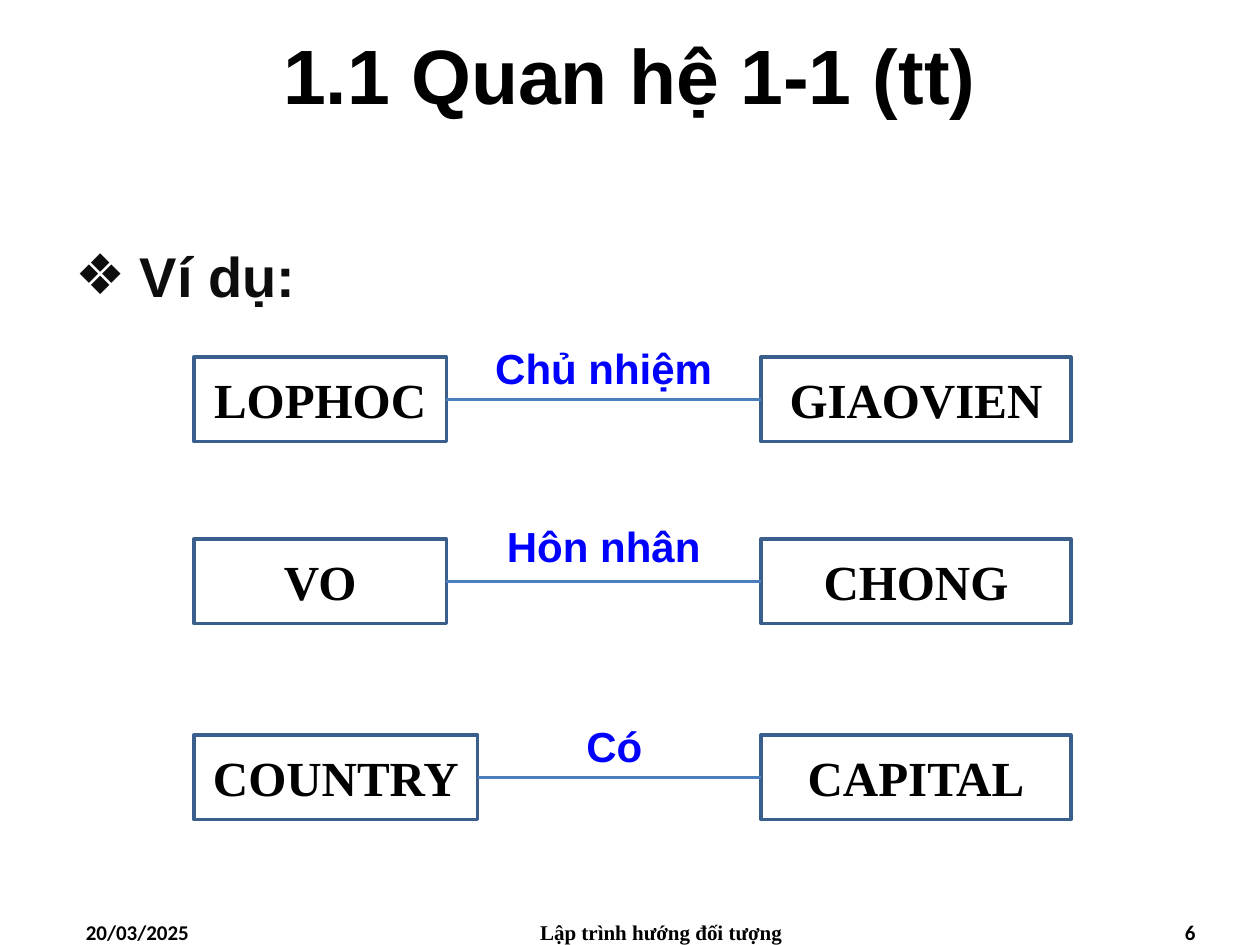
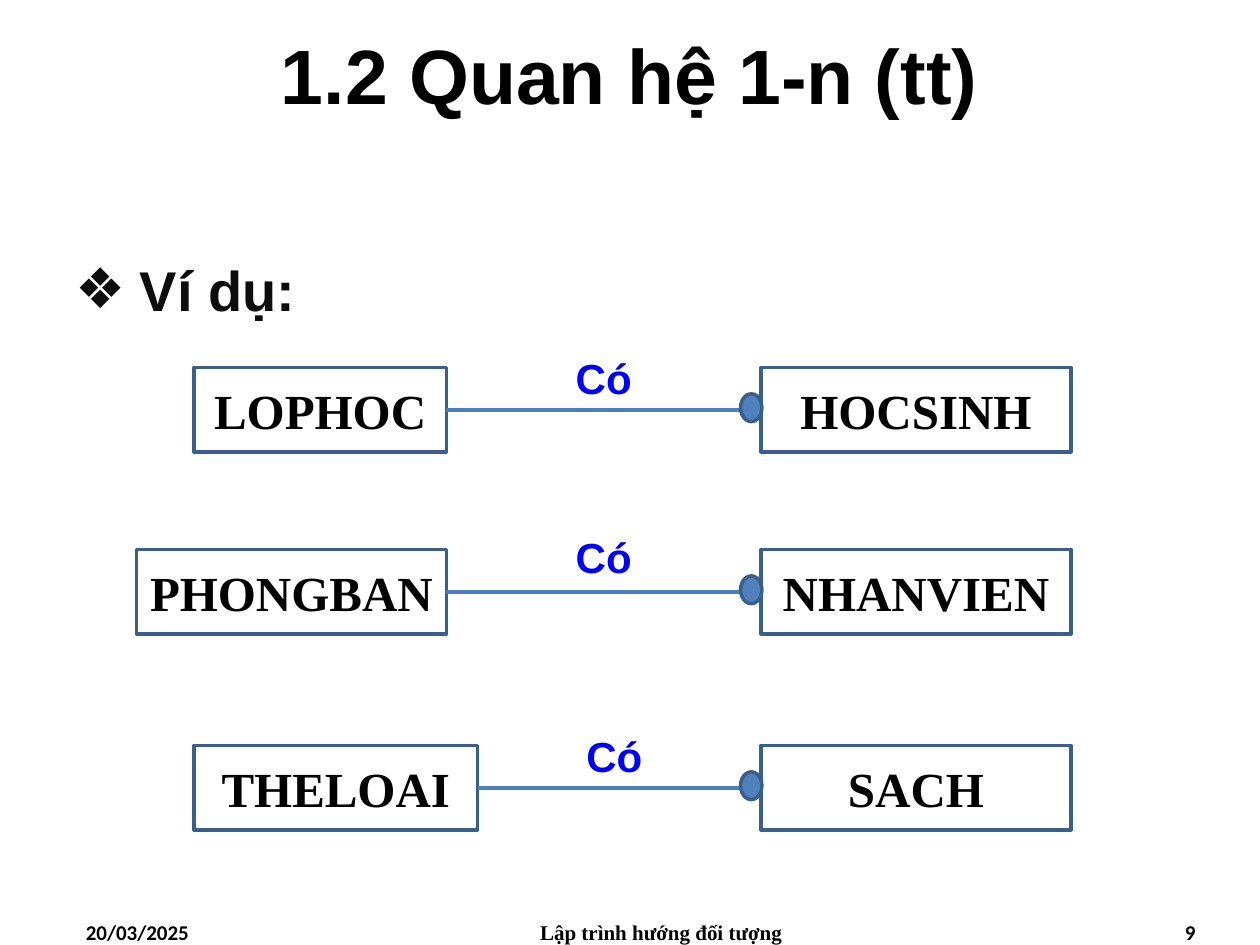
from lxml.etree import SubElement
from pptx import Presentation
from pptx.dml.color import RGBColor
from pptx.enum.shapes import MSO_CONNECTOR, MSO_SHAPE
from pptx.enum.text import MSO_ANCHOR, MSO_AUTO_SIZE, PP_ALIGN
from pptx.oxml.ns import qn
from pptx.util import Cm, Pt

BLACK = RGBColor(0x00, 0x00, 0x00)
INK = RGBColor(0x0D, 0x0D, 0x0D)
BLUE = RGBColor(0x00, 0x00, 0xFF)
EDGE = RGBColor(0x3A, 0x5F, 0x8C)
LINK = RGBColor(0x4B, 0x7E, 0xBC)
DOT = RGBColor(0x4F, 0x81, 0xBD)
SANS, SERIF, SMALL = "Arial", "Times New Roman", "Calibri"

WIDTH, HEIGHT = 25.4, 19.05
BOX_H = 1.7
LEFT_END = 9
RIGHT_X, RIGHT_W = 15.34, 6.25
LABEL_END = 14.71
DOT_W, DOT_H = 0.43, 0.56


def write(shape, text, font, size, color, align=PP_ALIGN.CENTER):
    frame = shape.text_frame
    frame.word_wrap = True
    para = frame.paragraphs[0]
    para.alignment = align
    run = para.add_run()
    run.text = text
    run.font.name = font
    run.font.size = Pt(size)
    run.font.bold = True
    run.font.color.rgb = color
    return frame


def add_text(shapes, box, *style):
    return write(shapes.add_textbox(*map(Cm, box)), *style)


def add_form(shapes, kind, box, fill=None):
    form = shapes.add_shape(kind, *map(Cm, box))
    form.shadow.inherit = False
    if fill is None:
        form.fill.background()
    else:
        form.fill.solid()
        form.fill.fore_color.rgb = fill
    form.line.color.rgb = EDGE
    form.line.width = Pt(2)
    return form


def add_box(shapes, box, name):
    form = add_form(shapes, MSO_SHAPE.RECTANGLE, box)
    write(form, name, SERIF, 28, BLACK).vertical_anchor = MSO_ANCHOR.MIDDLE
    return form


def add_link(shapes, start, end):
    link = shapes.add_connector(MSO_CONNECTOR.STRAIGHT, 0, 0, 0, 0)
    link.begin_connect(start, 3)
    link.end_connect(end, 1)
    link.line.color.rgb = LINK
    link.line.width = Pt(2)
    SubElement(link._element.spPr, qn("a:effectLst"))


def add_pair(slide, top, row, many):
    left, label, right, x, width, label_x, lift = row
    shapes = slide.shapes.add_group_shape().shapes
    start = add_box(shapes, (x, top, width, BOX_H), left)
    end = add_box(shapes, (RIGHT_X, top, RIGHT_W, BOX_H), right)
    add_link(shapes, start, end)
    spot = (label_x, top - lift, LABEL_END - label_x, 1.27)
    frame = add_text(shapes, spot, label, SANS, 24, BLUE)
    frame.auto_size = MSO_AUTO_SIZE.SHAPE_TO_FIT_TEXT
    if many:
        spot = (RIGHT_X - DOT_W + 0.02, top + 0.53, DOT_W, DOT_H)
        add_form(shapes, MSO_SHAPE.OVAL, spot, DOT)


def add_title(slide, text):
    frame = add_text(slide.shapes, (0, 0, WIDTH, 2.96), text, SANS, 44, BLACK)
    frame.vertical_anchor = MSO_ANCHOR.MIDDLE


def add_lead(slide, top):
    frame = add_text(slide.shapes, (1.27, top, 23.28, 2.1),
                     "Ví dụ:", SANS, 32, INK, PP_ALIGN.JUSTIFY)
    frame.margin_top = Cm(0.23)
    para = frame.paragraphs[0]
    para.line_spacing = 1.3
    para.space_after = Pt(3)
    props = para._p.get_or_add_pPr()
    props.set("marL", str(Cm(1.3)))
    props.set("indent", str(-Cm(1.3)))
    SubElement(props, qn("a:buFont"), typeface="Wingdings 2")
    props[-1].set("typeface", SANS)
    SubElement(props, qn("a:buChar"), char="❖")


def add_foot(slide, page):
    parts = (
        (1.48, 5.93, "20/03/2025", SMALL, PP_ALIGN.LEFT),
        (9.31, 8.04, "Lập trình hướng đối tượng", SERIF, PP_ALIGN.CENTER),
        (18.42, 5.93, page, SMALL, PP_ALIGN.RIGHT),
    )
    for x, width, text, font, align in parts:
        box = (x, HEIGHT - 0.64, width, 0.64)
        add_text(slide.shapes, box, text, font, 12, BLACK, align)


def add_page(deck, title, page, lead, top, rows, many=False):
    slide = deck.slides.add_slide(deck.slide_layouts[6])
    add_title(slide, title)
    add_lead(slide, lead)
    add_foot(slide, page)
    for drop, row in zip((0, 3.67, 7.62), rows):
        add_pair(slide, top + drop, row, many)


def main():
    deck = Presentation()
    deck.slide_width = Cm(WIDTH)
    deck.slide_height = Cm(HEIGHT)
    near = (3.91, LEFT_END - 3.91, 9.63)
    wide = (2.75, LEFT_END - 2.75, 9.63)
    far = (3.91, 5.72, 10.06)
    add_page(deck, "1.1 Quan hệ 1-1 (tt)", "6", 4.24, 7.2, (
        ("LOPHOC", "Chủ nhiệm", "GIAOVIEN", *near, 0.42),
        ("VO", "Hôn nhân", "CHONG", *near, 0.5),
        ("COUNTRY", "Có", "CAPITAL", *far, 0.42),
    ))
    add_page(deck, "1.2 Quan hệ 1-n (tt)", "9", 4.52, 7.41, (
        ("LOPHOC", "Có", "HOCSINH", *near, 0.42),
        ("PHONGBAN", "Có", "NHANVIEN", *wide, 0.5),
        ("THELOAI", "Có", "SACH", *far, 0.42),
    ), many=True)
    deck.save("out.pptx")


if __name__ == "__main__":
    main()
